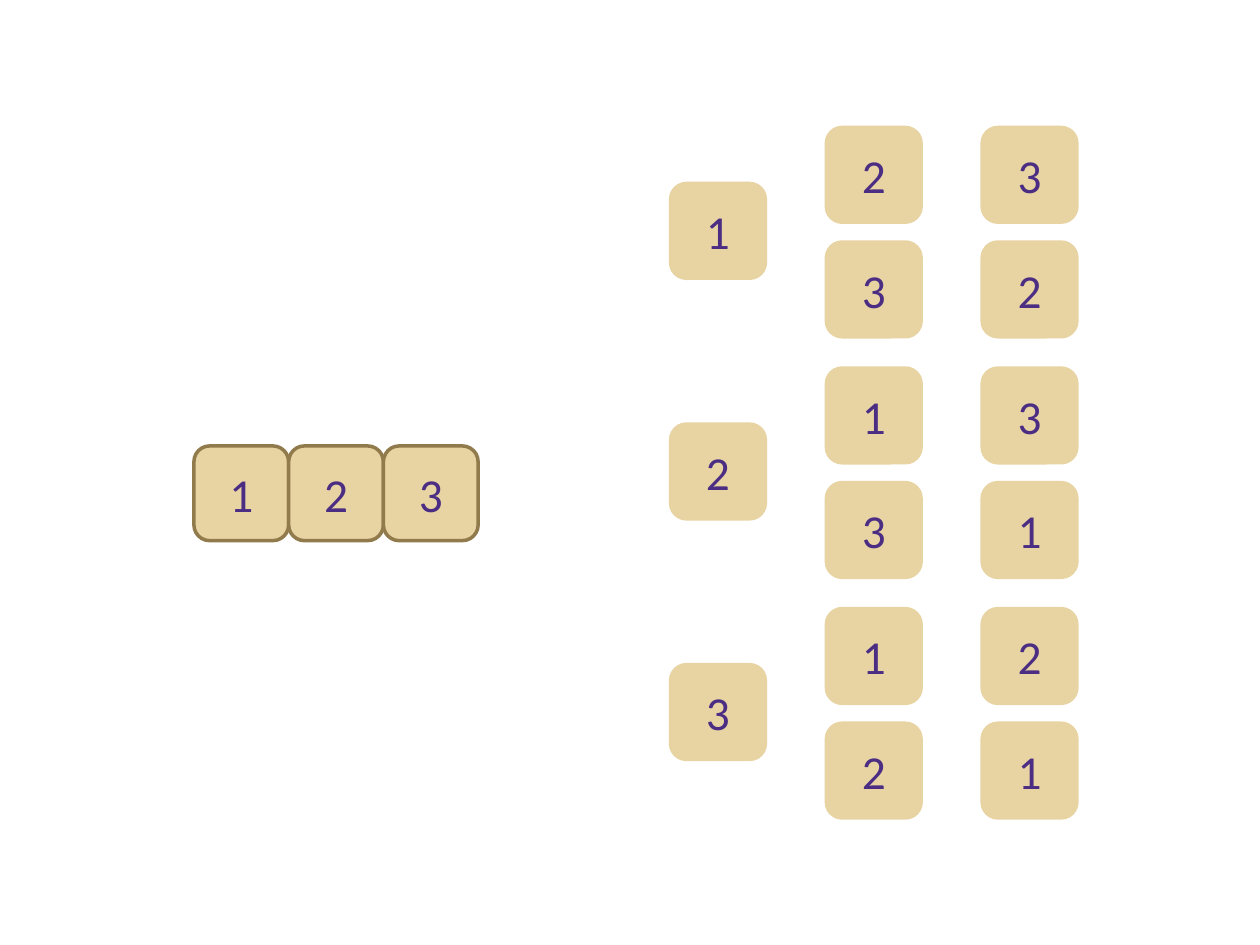
from itertools import permutations

from pptx import Presentation
from pptx.dml.color import RGBColor
from pptx.enum.shapes import MSO_SHAPE as Kind
from pptx.enum.text import MSO_ANCHOR as Anchor, PP_ALIGN as Align
from pptx.util import Cm, Pt

TAN, BROWN, PURPLE = "E8D3A2", "917B4C", "4B2E83"
SIDE = 1.91       # tile edge, cm
COL = 3.14        # step between tree columns
ROW = 2.31        # step between the two branches of a block
BLOCK = 4.85      # step between blocks
DROP = 1.13       # first digit sits midway between its branches
FONT = {"name": "Calibri", "size": Pt(27)}
DIGITS = (1, 2, 3)


def paint(color, code):
    color.rgb = RGBColor.from_string(code)


def tile(shapes, digit, x, y, edge=TAN):
    """Add one rounded square with a digit in it."""
    box = shapes.add_shape(Kind.ROUNDED_RECTANGLE,
                           Cm(x), Cm(y), Cm(SIDE), Cm(SIDE))
    box.shadow.inherit = False
    box.fill.solid()
    paint(box.fill.fore_color, TAN)
    paint(box.line.color, edge)
    box.line.width = Pt(2)
    frame = box.text_frame
    frame.vertical_anchor = Anchor.MIDDLE
    para = frame.paragraphs[0]
    para.alignment = Align.CENTER
    run = para.add_run()
    run.text = str(digit)
    for key, value in FONT.items():
        setattr(run.font, key, value)
    paint(run.font.color, PURPLE)


def strip(shapes, x, y):
    """Add the starting row of touching tiles."""
    for i, digit in enumerate(DIGITS):
        tile(shapes, digit, x + i * SIDE, y, BROWN)


def block(shapes, first, x, y):
    """Add a first digit and the orders that can follow it."""
    tile(shapes, first, x, y + DROP)
    rest = [d for d in DIGITS if d != first]
    for col, pair in enumerate(zip(*permutations(rest)), 1):
        for row, digit in enumerate(pair):
            tile(shapes, digit, x + col * COL, y + row * ROW)


def main():
    deck = Presentation()
    deck.slide_width, deck.slide_height = Cm(25.4), Cm(19.05)
    shapes = deck.slides.add_slide(deck.slide_layouts[6]).shapes

    # Starting list
    strip(shapes.add_group_shape().shapes, 3.91, 8.99)

    # All orders, one block per first digit; the last is a group
    for i, first in enumerate(DIGITS):
        home = shapes.add_group_shape().shapes if i == 2 else shapes
        block(home, first, 13.52, 2.57 + i * BLOCK)

    deck.save("out.pptx")


if __name__ == "__main__":
    main()
